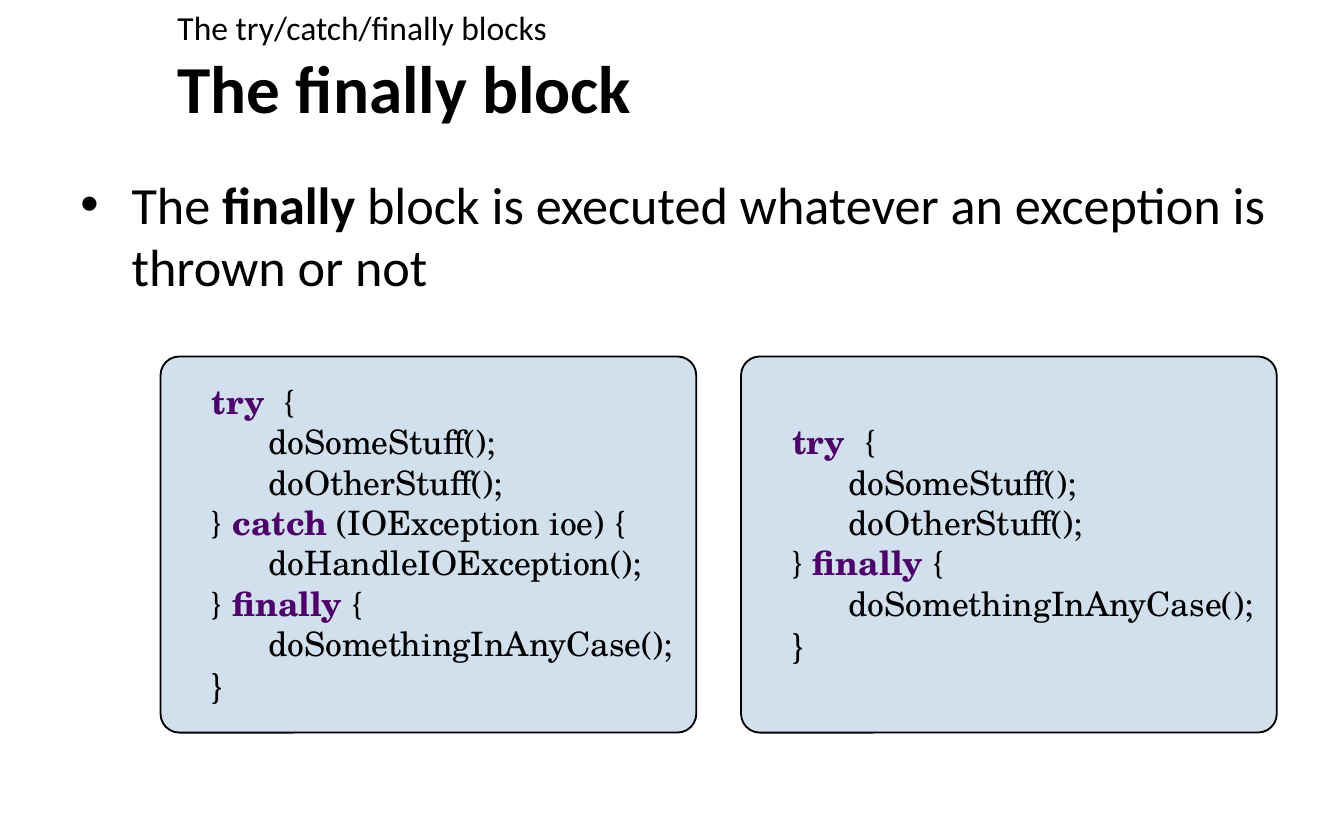
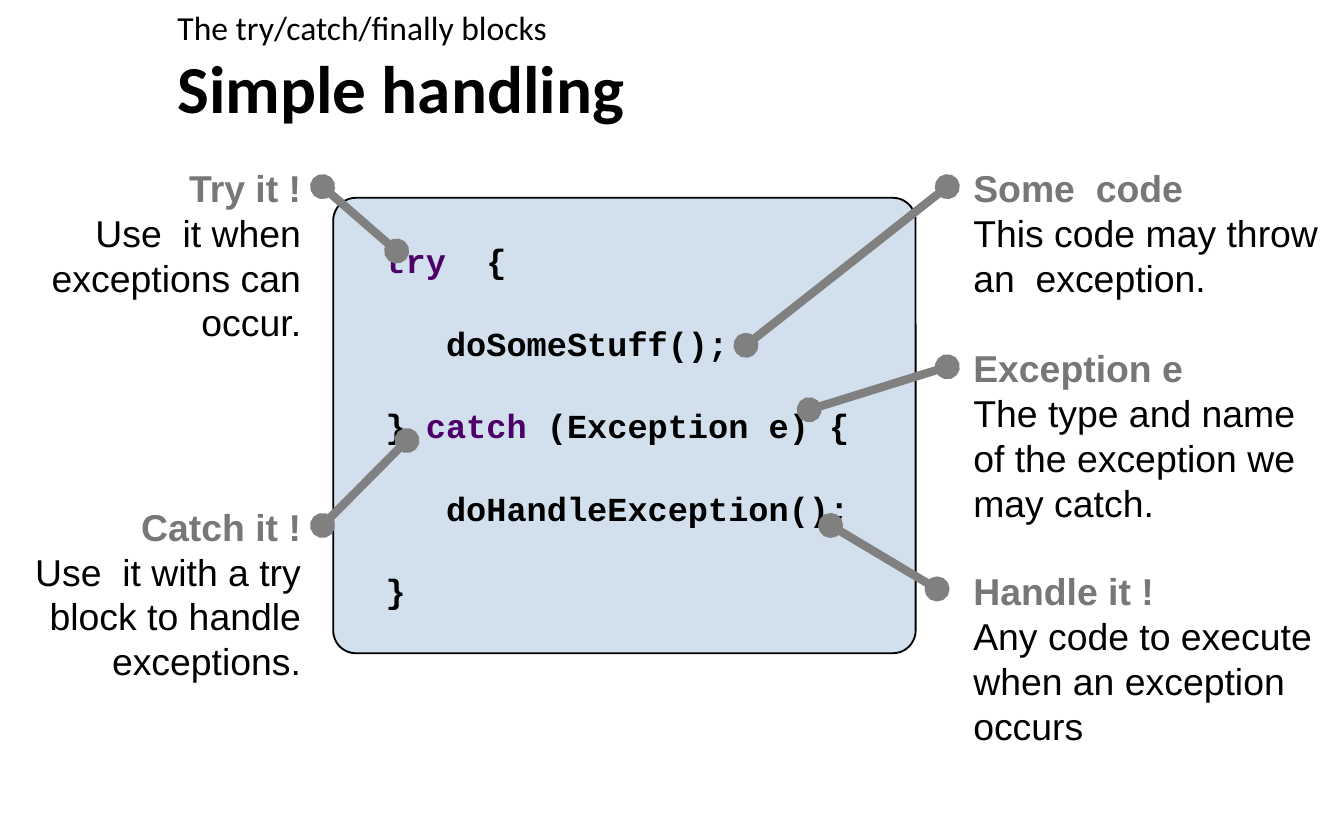
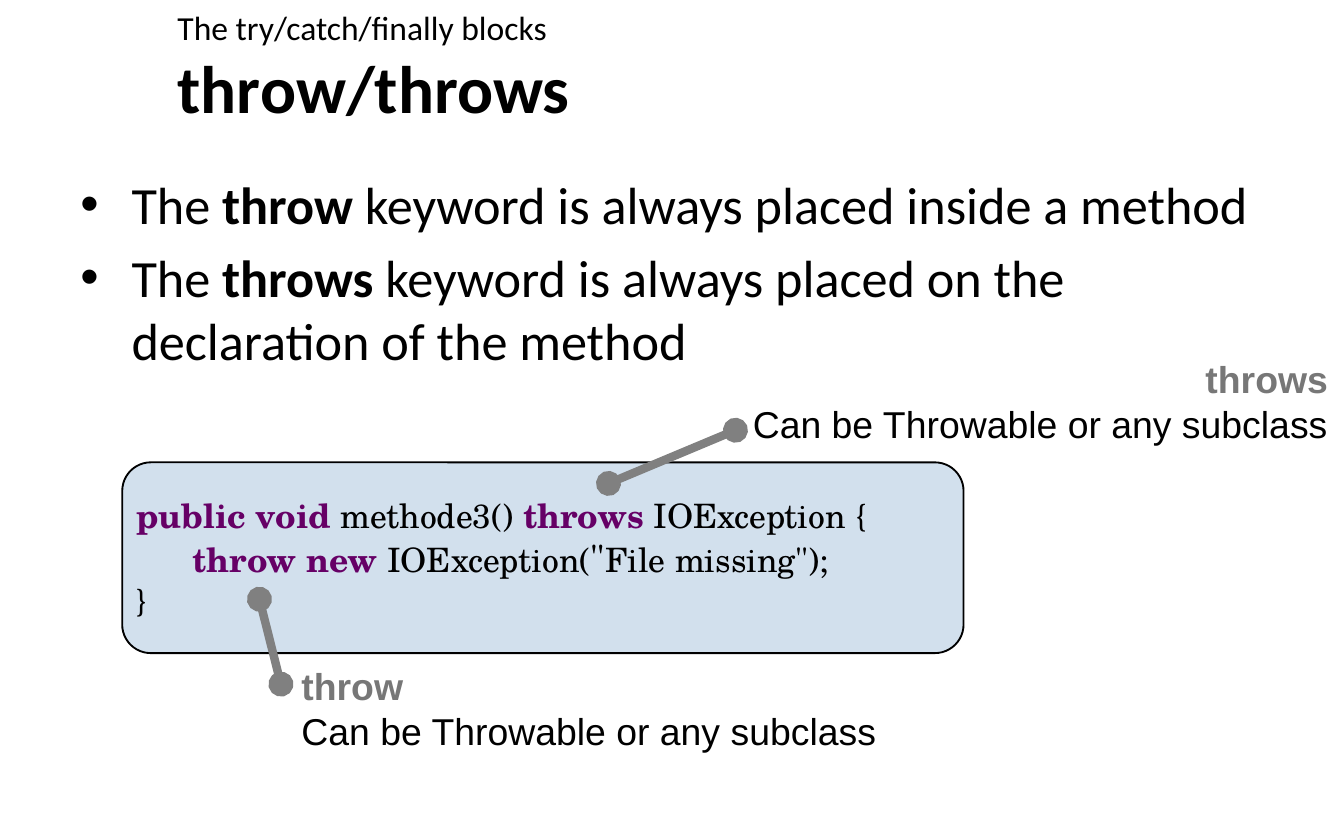
from lxml import etree
from pptx import Presentation
from pptx.dml.color import RGBColor
from pptx.enum.shapes import MSO_CONNECTOR, MSO_SHAPE
from pptx.enum.text import MSO_ANCHOR, MSO_AUTO_SIZE, PP_ALIGN
from pptx.oxml.ns import qn
from pptx.util import Pt

STRAIGHT = MSO_CONNECTOR.STRAIGHT
ROUNDED = MSO_SHAPE.ROUNDED_RECTANGLE
LEFT, RIGHT = PP_ALIGN.LEFT, PP_ALIGN.RIGHT
TOP, MIDDLE = MSO_ANCHOR.TOP, MSO_ANCHOR.MIDDLE
NO_FIT = MSO_AUTO_SIZE.NONE
TITLE_ONLY = 5

BLACK = "000000"
PANEL = "D2E0ED"
PURPLE = "4D0069"
PLUM = "660066"
HEADING = "777777"
POINTER = "808080"
HEADER_FONT = "Calibri"
CALLOUT_FONT = "Arial"
SERIF_CODE = "TeX Gyre Schola"
MONO_CODE = "Courier New"
CHAPTER = "The try/catch/finally blocks"


def colour(value):
    return RGBColor.from_string(value)


def add_span(para, text, font=HEADER_FONT, size=18, color=BLACK, bold=False):
    span = para.add_run()
    span.text = text
    span.font.name = font
    span.font.size = Pt(size)
    span.font.bold = bold
    span.font.color.rgb = colour(color)


def add_spans(para, spans, **base):
    for span in spans:
        text, changes = (span, {}) if isinstance(span, str) else span
        add_span(para, text, **{**base, **changes})


def bold(text):
    return text, {"bold": True}


def keyword(text, color=PURPLE):
    return text, {"bold": True, "color": color}


def large(text):
    return text, {"size": 20}


def next_para(frame, index):
    return frame.add_paragraph() if index else frame.paragraphs[0]


def set_frame(frame, insets=None, anchor=TOP):
    frame.word_wrap = True
    frame.auto_size = NO_FIT
    frame.vertical_anchor = anchor
    if insets:
        (frame.margin_left, frame.margin_top,
         frame.margin_right, frame.margin_bottom) = map(Pt, insets)


def add_text_box(page, box, insets=None):
    frame = page.shapes.add_textbox(*map(Pt, box)).text_frame
    set_frame(frame, insets)
    return frame


def add_page(deck, heading):
    page = deck.slides.add_slide(deck.slide_layouts[TITLE_ONLY])
    title = page.shapes.title
    title.left, title.top, title.width, title.height = map(Pt, (88, 26.5, 613, 39.5))
    set_frame(title.text_frame, anchor=MIDDLE)
    para = title.text_frame.paragraphs[0]
    para.alignment = LEFT
    add_span(para, heading, size=36, bold=True)
    chapter = add_text_box(page, (88, 0, 613, 26.5))
    add_span(chapter.paragraphs[0], CHAPTER)
    return page


def add_bullets(page, box, items):
    frame = add_text_box(page, box)
    for index, spans in enumerate(items):
        para = next_para(frame, index)
        para.space_after = Pt(5.6)
        properties = para._p.get_or_add_pPr()
        properties.set("marL", str(Pt(27.4)))
        properties.set("indent", str(-Pt(27.4)))
        etree.SubElement(properties, qn("a:buFont")).set("typeface", "Arial")
        etree.SubElement(properties, qn("a:buChar")).set("char", "•")
        add_spans(para, spans, size=28)


def add_code(page, box, lines, font=SERIF_CODE, corner=0.05, margin=24.5,
             step=30.2, gap=0, strong=False):
    panel = page.shapes.add_shape(ROUNDED, *map(Pt, box))
    panel.shadow.inherit = False
    panel.adjustments[0] = corner
    panel.fill.solid()
    panel.fill.fore_color.rgb = colour(PANEL)
    panel.line.color.rgb = colour(BLACK)
    panel.line.width = Pt(1)
    set_frame(panel.text_frame, (0, 0, 3, 0), MIDDLE)
    for index, (level, spans) in enumerate(lines):
        para = next_para(panel.text_frame, index)
        para.alignment = LEFT
        para.space_before = Pt(gap if index else 0)
        para._p.get_or_add_pPr().set("marL", str(Pt(margin + level * step)))
        add_spans(para, spans, font=font, bold=strong)


def add_callout(page, box, heading, note, align=LEFT):
    frame = add_text_box(page, box, (0, 0, 0, 0))
    para = frame.paragraphs[0]
    para.alignment = align
    add_span(para, heading, font=CALLOUT_FONT, size=20, color=HEADING, bold=True)
    para.add_line_break()
    add_span(para, note, font=CALLOUT_FONT, size=20)


def add_pointer(page, start, end):
    pointer = page.shapes.add_connector(STRAIGHT, *map(Pt, start + end))
    pointer.line.color.rgb = colour(POINTER)
    pointer.line.width = Pt(4.5)
    line = pointer.line._get_or_add_ln()
    for tag in ("a:headEnd", "a:tailEnd"):
        etree.SubElement(line, qn(tag)).set("type", "oval")
    etree.SubElement(pointer._element.spPr, qn("a:effectLst"))


def build_finally(deck):
    page = add_page(deck, "The finally block")
    add_bullets(page, (36, 88.5, 664.5, 333), [
        ["The ", bold("finally "), "block is executed whatever an exception is thrown or not"],
    ])
    opening = [
        (0, [keyword("try  "), "{"]),
        (1, ["doSomeStuff();"]),
        (1, ["doOtherStuff();"]),
    ]
    handler = [
        (0, ["}", keyword(" catch"), " (IOException ioe) {"]),
        (1, ["doHandleIOException();"]),
    ]
    closing = [
        (0, ["} ", keyword("finally "), "{"]),
        (1, ["doSomethingInAnyCase();"]),
        (0, [large("}")]),
    ]
    variants = (opening + handler + closing, opening + closing)
    for column, lines in enumerate(variants):
        add_code(page, (86 + column * 311, 191, 287, 201.5), lines)


def build_handling(deck):
    page = add_page(deck, "Simple handling")
    add_code(page, (178.5, 106, 312, 244), [
        (0, [keyword("try  "), "{"]),
        (1, ["doSomeStuff();"]),
        (0, ["} ", keyword("catch"), " (Exception e) {"]),
        (1, ["doHandleException();"]),
        (0, ["}"]),
    ], font=MONO_CODE, step=32.4, gap=22.6, strong=True)
    left_notes = [
        (88.5, "Try it !", "Use  it when exceptions can occur."),
        (270, "Catch it !", "Use  it with a try block to handle exceptions."),
    ]
    right_notes = [
        (88.5, "Some  code", "This code may throw an  exception."),
        (185, "Exception e", "The type and name of the exception we may catch."),
        (304.5, "Handle it !", "Any code to execute when an exception occurs"),
    ]
    for top, heading, note in left_notes:
        add_callout(page, (14.4, top, 147, 91), heading, note, RIGHT)
    for top, heading, note in right_notes:
        add_callout(page, (521.4, top, 190, 91), heading, note)
    for start, end in (
        ((172.8, 100), (212.5, 134.5)),
        ((172.8, 281.5), (218, 236)),
        ((445, 281.5), (502, 315.5)),
        ((399.6, 185), (507.5, 100)),
        ((433.5, 219.5), (507.5, 196.5)),
    ):
        add_pointer(page, start, end)


def build_throwing(deck):
    page = add_page(deck, "throw/throws")
    add_bullets(page, (36, 88.5, 664.5, 333), [
        ["The ", bold("throw"), " keyword is always placed inside a method"],
        ["The ", bold("throws"), " keyword is always placed on the declaration of the method"],
    ])
    add_code(page, (65.5, 247.7, 450.7, 102.2), [
        (0, [keyword("public void ", PLUM), "methode3() ",
             keyword("throws", PLUM), " IOException {"]),
        (1, [keyword("throw new", PLUM), " IOException(", large('"'), 'File missing");']),
        (0, ["}"]),
    ], corner=0.15, margin=3)
    note = "Can be Throwable or any subclass"
    add_callout(page, (376.5, 190.8, 335, 67.7), "throws", note, RIGHT)
    add_callout(page, (161.5, 355.5, 329, 57), "throw", note)
    add_pointer(page, (326, 259), (394, 230.5))
    add_pointer(page, (150.5, 366.5), (139, 321))


def main():
    deck = Presentation()
    deck.slide_width, deck.slide_height = Pt(720), Pt(450)
    for build in (build_finally, build_handling, build_throwing):
        build(deck)
    deck.save("out.pptx")


main()
